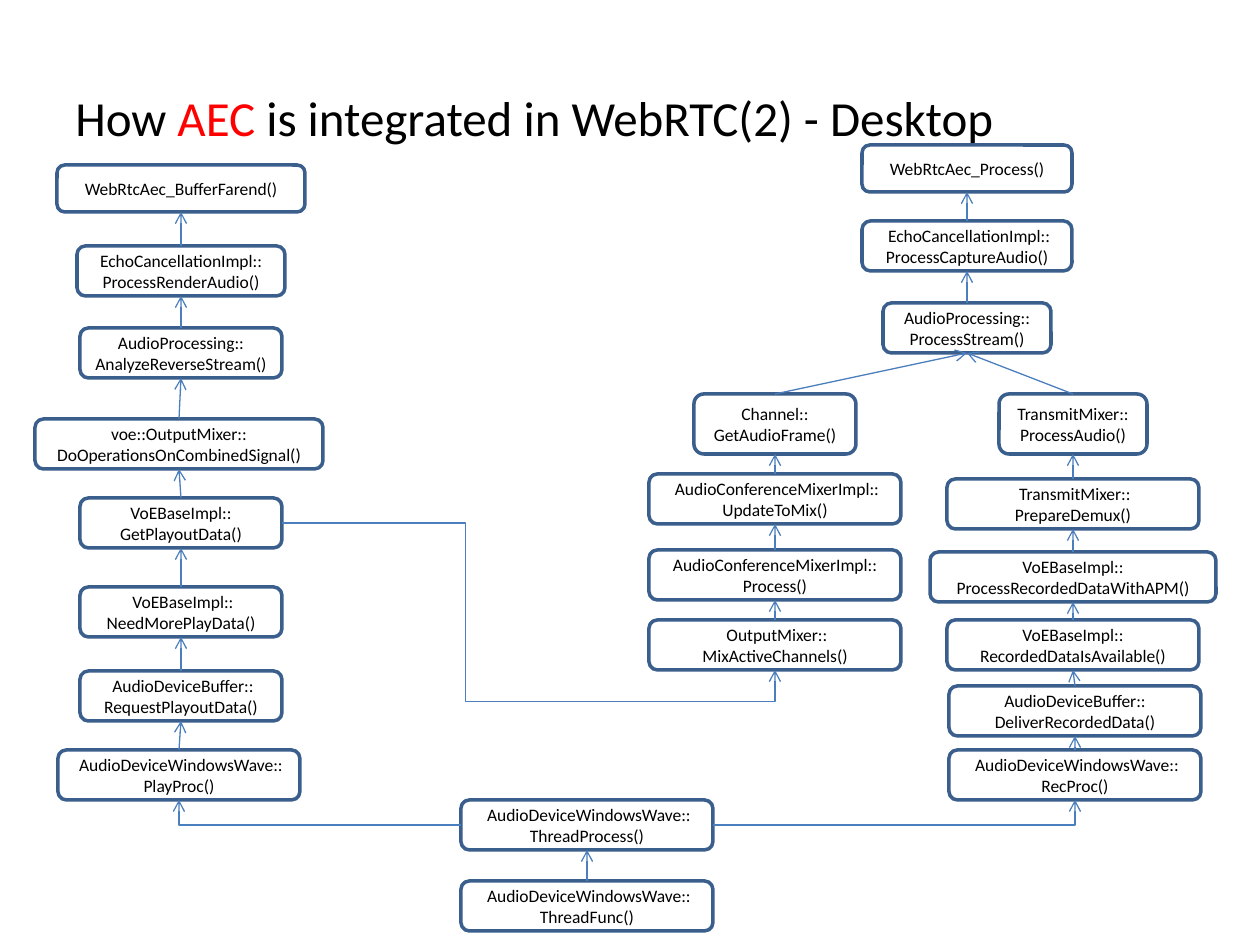
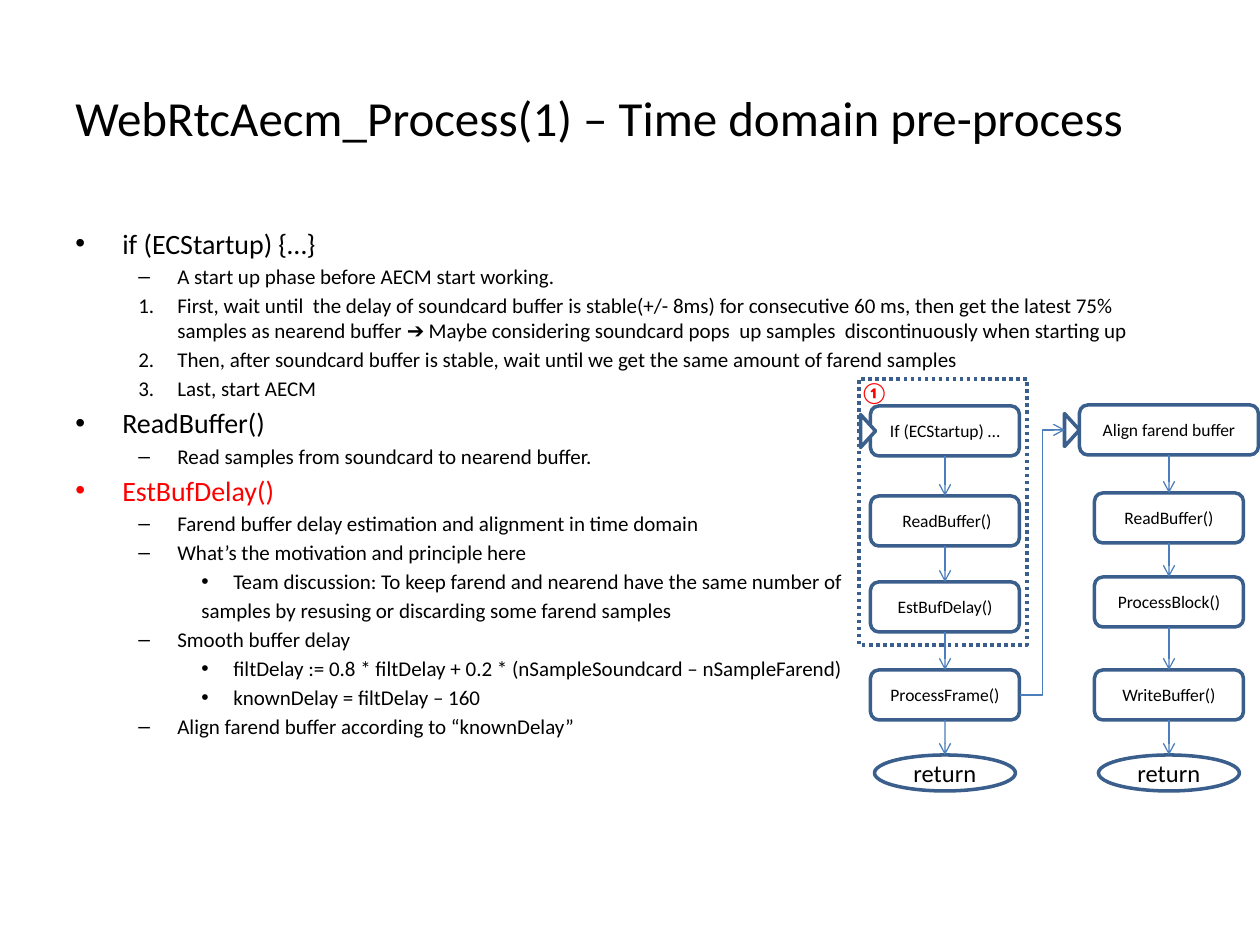
import pptx
import pptx.dml.color
import pptx.enum.dml
import pptx.enum.shapes
import pptx.enum.text
import pptx.oxml.ns
import pptx.oxml.xmlchemy
import pptx.util
from lxml import etree

RGBColor = pptx.dml.color.RGBColor
Pt = pptx.util.Pt
qn = pptx.oxml.ns.qn
SHAPE = pptx.enum.shapes.MSO_SHAPE
CONNECTOR = pptx.enum.shapes.MSO_CONNECTOR
ANCHOR = pptx.enum.text.MSO_ANCHOR
ALIGN = pptx.enum.text.PP_ALIGN

BLACK = RGBColor(0x00, 0x00, 0x00)
RED = RGBColor(0xFF, 0x00, 0x00)
WHITE = RGBColor(0xFF, 0xFF, 0xFF)
OUTLINE = RGBColor(0x3A, 0x5F, 0x8C)
ARROW = RGBColor(0x4B, 0x7E, 0xBC)

FONT = "Calibri"
PIXELS_PER_INCH = 126
BOX_HEIGHT = 50
TOP, LEFT, BOTTOM, RIGHT = range(4)  # connection sites of a box

# Call chains, topmost call first: (centre x, top, width, height, lines)
RENDER_CALLS = [
    (181, 165, 248, 47, ["WebRtcAec_BufferFarend()"]),
    (181, 246, 208, BOX_HEIGHT, ["EchoCancellationImpl::", "ProcessRenderAudio()"]),
    (181, 328, 202, BOX_HEIGHT, ["AudioProcessing::", "AnalyzeReverseStream()"]),
    (179, 419, 288, BOX_HEIGHT, ["voe::OutputMixer::", "DoOperationsOnCombinedSignal()"]),
    (181, 498, 202, BOX_HEIGHT, ["VoEBaseImpl::", "GetPlayoutData()"]),
    (181, 587, 202, BOX_HEIGHT, [" VoEBaseImpl::", "NeedMorePlayData()"]),
    (181, 671, 202, BOX_HEIGHT, [" AudioDeviceBuffer::", "RequestPlayoutData()"]),
    (179, 750, 242, BOX_HEIGHT, [" AudioDeviceWindowsWave::", "PlayProc()"]),
]
CAPTURE_CALLS = [
    (967, 145, 210, 47, ["WebRtcAec_Process()"]),
    (967, 221, 210, BOX_HEIGHT, [" EchoCancellationImpl::", "ProcessCaptureAudio()"]),
    (967, 303, 168, BOX_HEIGHT, ["AudioProcessing::", "ProcessStream()"]),
]
MIXER_CALLS = [
    (775, 394, 162, 60, ["Channel::", "GetAudioFrame()"]),
    (775, 474, 252, BOX_HEIGHT, [" AudioConferenceMixerImpl::", "UpdateToMix()"]),
    (775, 550, 252, BOX_HEIGHT, ["AudioConferenceMixerImpl::", "Process()"]),
    (775, 620, 252, BOX_HEIGHT, [" OutputMixer::", "MixActiveChannels()"]),
]
RECORD_CALLS = [
    (1073, 394, 148, 60, ["TransmitMixer::", "ProcessAudio()"]),
    (1073, 479, 252, BOX_HEIGHT, [" TransmitMixer::", "PrepareDemux()"]),
    (1073, 552, 286, BOX_HEIGHT, ["VoEBaseImpl::", "ProcessRecordedDataWithAPM()"]),
    (1073, 620, 252, BOX_HEIGHT, ["VoEBaseImpl::", "RecordedDataIsAvailable()"]),
    (1075, 686, 252, BOX_HEIGHT, ["AudioDeviceBuffer::", "DeliverRecordedData()"]),
    (1075, 750, 252, BOX_HEIGHT, [" AudioDeviceWindowsWave::", "RecProc()"]),
]
THREAD_CALLS = [
    (587, 800, 252, BOX_HEIGHT, [" AudioDeviceWindowsWave::", "ThreadProcess()"]),
    (587, 881, 252, BOX_HEIGHT, [" AudioDeviceWindowsWave::", "ThreadFunc()"]),
]
PROCESS_STEPS = [
    (945, 406, 149, BOX_HEIGHT, ["If (ECStartup) …"]),
    (945, 496, 149, BOX_HEIGHT, [" ReadBuffer()"]),
    (945, 582, 149, BOX_HEIGHT, ["EstBufDelay()"]),
    (945, 670, 149, BOX_HEIGHT, ["ProcessFrame()"]),
]
FRAME_STEPS = [
    (1169, 405, 179, BOX_HEIGHT, ["Align farend buffer"]),
    (1169, 493, 149, BOX_HEIGHT, ["ReadBuffer()"]),
    (1169, 577, 149, BOX_HEIGHT, ["ProcessBlock()"]),
    (1169, 670, 149, BOX_HEIGHT, ["WriteBuffer()"]),
]

# Outline styles: (level, left margin, first-line indent, size, bullet)
OUTLINE_STYLES = {
    "topic": (0, 47, -47, 16, "•"),
    "dash": (1, 102, -39, 12, "–"),
    "step": (1, 102, -39, 12, "1."),
    "detail": (2, 158, -32, 12, "•"),
    "plain": (2, 126, 0, 12, None),
}
NOTES = [
    ("topic", "if (ECStartup) {…}", BLACK),
    ("dash", "A start up phase before AECM start working.", BLACK),
    ("step", "First, wait until  the delay of soundcard buffer is stable(+/- 8ms) for "
             "consecutive 60 ms, then get the latest 75% samples as nearend buffer ➔ Maybe "
             "considering soundcard pops  up samples  discontinuously when starting up", BLACK),
    ("step", "Then, after soundcard buffer is stable, wait until we get the same amount "
             "of farend samples", BLACK),
    ("step", "Last, start AECM", BLACK),
    ("topic", "ReadBuffer()", BLACK),
    ("dash", "Read samples from soundcard to nearend buffer.", BLACK),
    ("topic", "EstBufDelay()", RED),
    ("dash", "Farend buffer delay estimation and alignment in time domain", BLACK),
    ("dash", "What’s the motivation and principle here", BLACK),
    ("detail", "Team discussion: To keep farend and nearend have the same number of ", BLACK),
    ("plain", "samples by resusing or discarding some farend samples", BLACK),
    ("dash", "Smooth buffer delay", BLACK),
    ("detail", "filtDelay := 0.8 * filtDelay + 0.2 * (nSampleSoundcard – nSampleFarend)", BLACK),
    ("detail", "knownDelay = filtDelay – 160", BLACK),
    ("dash", "Align farend buffer according to “knownDelay”", BLACK),
]


def px(pixels):
    """Turn pixels into EMU."""
    return pptx.util.Emu(round(pixels * 914400 / PIXELS_PER_INCH))


def set_values(target, values):
    """Set each attribute named in a dict of format values."""
    for name, value in values.items():
        setattr(target, name, value)


def add_run(paragraph, text, size, color=BLACK, bold=False):
    """Add a formatted run to a paragraph."""
    run = paragraph.add_run()
    run.text = text
    set_values(run.font, {"name": FONT, "size": Pt(size), "bold": bold})
    run.font.color.rgb = color


def add_text_box(slide, left, top, width, height, anchor=ANCHOR.TOP):
    """Add a wrapping text box and return its text frame."""
    frame = slide.shapes.add_textbox(px(left), px(top), px(width), px(height)).text_frame
    set_values(frame, {"word_wrap": True, "vertical_anchor": anchor})
    return frame


def add_title(slide, runs):
    """Add the slide title from (text, colour) runs."""
    frame = add_text_box(slide, 63, 38, 1134, 157, ANCHOR.MIDDLE)
    for text, color in runs:
        add_run(frame.paragraphs[0], text, 28, color)


def add_outlined(slide, kind, left, top, width, height, fill=WHITE):
    """Add a preset shape with the shared outline."""
    shape = slide.shapes.add_shape(kind, px(left), px(top), px(width), px(height))
    shape.shadow.inherit = False
    if fill is None:
        shape.fill.background()
    else:
        shape.fill.solid()
        shape.fill.fore_color.rgb = fill
    shape.line.color.rgb = OUTLINE
    shape.line.width = Pt(2)
    return shape


def add_node(slide, center, top, width, height, lines,
             kind=SHAPE.ROUNDED_RECTANGLE, size=10, fill=WHITE):
    """Add a flow-chart node with centred lines of text."""
    shape = add_outlined(slide, kind, center - width / 2, top, width, height, fill)
    frame = shape.text_frame
    set_values(frame, {"word_wrap": True, "vertical_anchor": ANCHOR.MIDDLE, "margin_left": 0,
                       "margin_right": 0, "margin_top": 0, "margin_bottom": 0})
    for index, line in enumerate(lines):
        paragraph = frame.add_paragraph() if index else frame.paragraphs[0]
        paragraph.alignment = ALIGN.CENTER
        add_run(paragraph, line, size)
    return shape


def add_arrow(slide, source, source_site, target, target_site, preset=None, adjust=()):
    """Connect two shapes with an arrow, bent when a preset is named."""
    kind = CONNECTOR.ELBOW if preset else CONNECTOR.STRAIGHT
    connector = slide.shapes.add_connector(kind, 0, 0, 0, 0)
    connector.begin_connect(source, source_site)
    connector.end_connect(target, target_site)
    connector.line.color.rgb = ARROW
    connector.line.width = Pt(0.75)
    properties = connector._element.spPr
    etree.SubElement(properties.find(qn("a:ln")), qn("a:tailEnd"), type="arrow")
    etree.SubElement(properties, qn("a:effectLst"))
    if preset:
        geometry = properties.find(qn("a:prstGeom"))
        geometry.set("prst", preset)
        guides = geometry.find(qn("a:avLst"))
        for number, value in enumerate(adjust, 1):
            etree.SubElement(guides, qn("a:gd"), name=f"adj{number}", fmla=f"val {value}")
    return connector


def add_call_chain(slide, calls):
    """Add a column of calls, each pointing up to the one above."""
    nodes = [add_node(slide, *call) for call in calls]
    for upper, lower in zip(nodes, nodes[1:]):
        add_arrow(slide, lower, TOP, upper, BOTTOM)
    return nodes


def add_step_chain(slide, steps):
    """Add a column of steps that runs down to a return node."""
    nodes = [add_node(slide, *step, fill=None) for step in steps]
    nodes.append(add_node(slide, steps[0][0], 755, 141, 36, ["return"], SHAPE.OVAL, 14))
    for upper, lower in zip(nodes, nodes[1:]):
        add_arrow(slide, upper, BOTTOM, lower, TOP)
    return nodes


def add_entry_mark(slide, center_x, center_y):
    """Add a triangle that points right at an entry step."""
    width, height = 33, 15
    triangle = add_outlined(slide, SHAPE.ISOSCELES_TRIANGLE, center_x - width / 2,
                            center_y - height / 2, width, height)
    triangle.rotation = 90
    return triangle


def add_outline_text(slide, notes):
    """Add the bulleted and numbered notes."""
    frame = add_text_box(slide, 63, 220, 1134, 624)
    for index, (style, text, color) in enumerate(notes):
        level, margin, indent, size, bullet = OUTLINE_STYLES[style]
        paragraph = frame.add_paragraph() if index else frame.paragraphs[0]
        set_values(paragraph, {"level": level, "space_before": Pt(0.18 * size)})
        add_run(paragraph, text, size, color)
        properties = paragraph._p.get_or_add_pPr()
        properties.set("marL", str(px(margin)))
        properties.set("indent", str(px(indent)))
        if bullet == "1.":
            etree.SubElement(properties, qn("a:buFont"), typeface=FONT)
            etree.SubElement(properties, qn("a:buAutoNum"), type="arabicPeriod")
        elif bullet:
            etree.SubElement(properties, qn("a:buFont"), typeface="Arial")
            etree.SubElement(properties, qn("a:buChar"), char=bullet)
        else:
            etree.SubElement(properties, qn("a:buNone"))


def build_integration_slide(slide):
    """Show the call chains of the echo canceller."""
    add_title(slide, [("How ", BLACK), ("AEC ", RED),
                      ("is integrated in WebRTC(2) - Desktop", BLACK)])
    render, capture, mixer, record, thread = [
        add_call_chain(slide, calls) for calls in
        (RENDER_CALLS, CAPTURE_CALLS, MIXER_CALLS, RECORD_CALLS, THREAD_CALLS)]
    for chain in (mixer, record):
        add_arrow(slide, chain[0], TOP, capture[-1], BOTTOM)
    add_arrow(slide, thread[0], LEFT, render[-1], BOTTOM, "bentConnector2")
    add_arrow(slide, thread[0], RIGHT, record[-1], BOTTOM, "bentConnector2")
    add_arrow(slide, render[4], RIGHT, mixer[-1], BOTTOM, "bentConnector4", (37200, 121600))


def build_process_slide(slide):
    """Show the time domain notes and their flow chart."""
    add_title(slide, [("WebRtcAecm_Process(1) – Time domain pre-process", BLACK)])
    add_outline_text(slide, NOTES)
    stage = add_outlined(slide, SHAPE.RECTANGLE, 859, 379, 168, 266)
    stage.line.dash_style = pptx.enum.dml.MSO_LINE.ROUND_DOT
    process = add_step_chain(slide, PROCESS_STEPS)
    add_step_chain(slide, FRAME_STEPS)
    add_entry_mark(slide, 868, 431)
    frame_entry = add_entry_mark(slide, 1072, 430)
    # Site 3 is the triangle's base, which the rotation turns to the left
    detail = add_arrow(slide, process[3], RIGHT, frame_entry, 3, "bentConnector3", (50000,))
    set_values(detail, {"end_x": px(1065), "end_y": px(430)})
    badge = add_text_box(slide, 848, 373, 69, 38)
    add_run(badge.paragraphs[0], "①", 12, RED, bold=True)


def main():
    """Build and save the presentation."""
    presentation = pptx.Presentation()
    set_values(presentation, {"slide_width": px(1260), "slide_height": px(945)})
    for build in (build_integration_slide, build_process_slide):
        build(presentation.slides.add_slide(presentation.slide_layouts[6]))
    presentation.save("out.pptx")


main()
